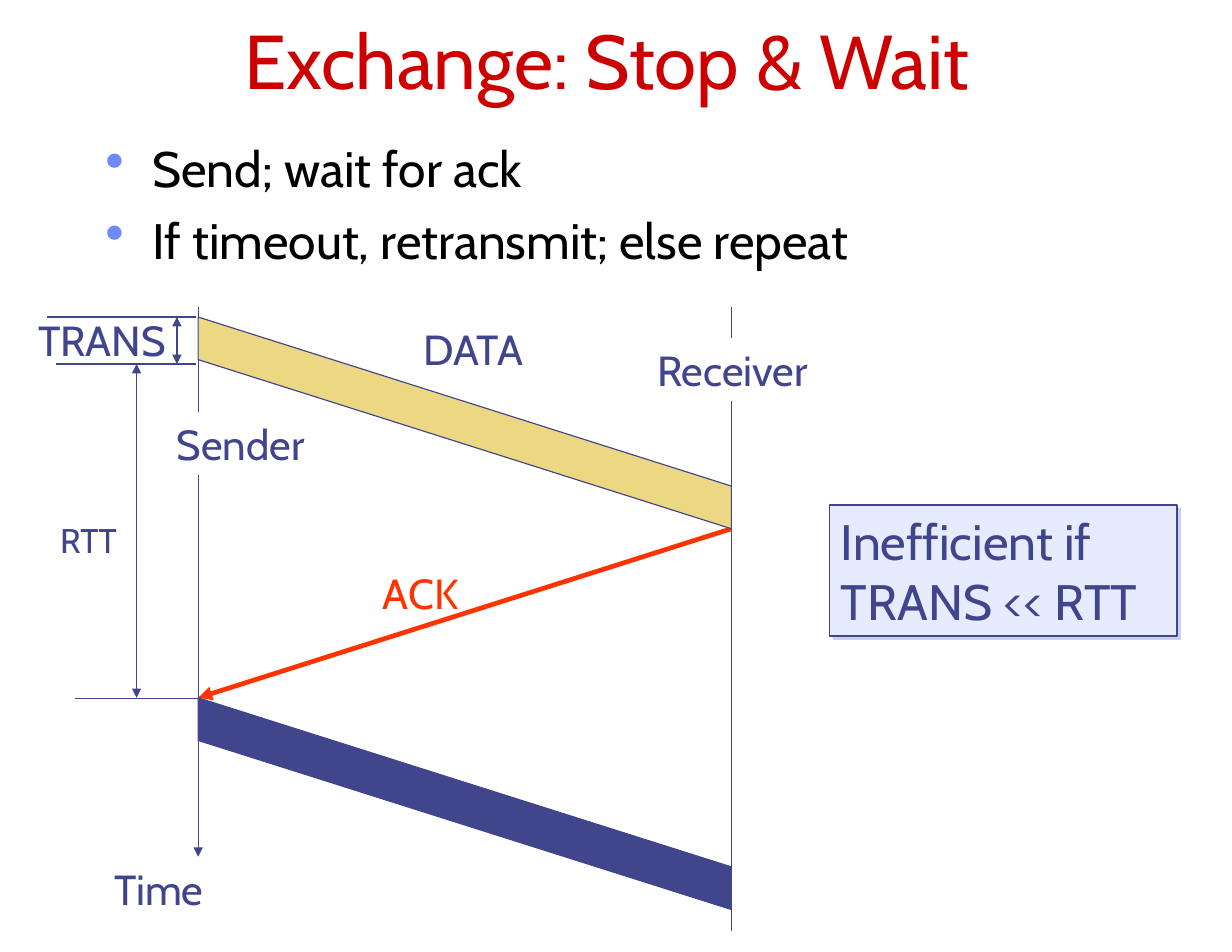
"""Build the stop-and-wait exchange slide with its timing diagram."""
from lxml import etree
from pptx import Presentation
from pptx.dml.color import RGBColor
from pptx.enum import shapes, text
from pptx.oxml import parse_xml
from pptx.oxml.ns import nsdecls, qn
from pptx.util import Pt

RED = RGBColor(0xCC, 0x00, 0x00)
ORANGE = RGBColor(0xFF, 0x33, 0x00)
INDIGO = RGBColor(0x40, 0x45, 0x8C)
SAND = RGBColor(0xEC, 0xD8, 0x82)
PALE_BLUE = RGBColor(0xE6, 0xEC, 0xFE)
BULLET_BLUE = RGBColor(0x6F, 0x89, 0xF7)
SHADOW_BLUE = RGBColor(0xB7, 0xC1, 0xEB)
WHITE = RGBColor(0xFF, 0xFF, 0xFF)
BLACK = RGBColor(0, 0, 0)
FONT = "Cabin"

SENDER_X, RECEIVER_X = 127.4, 470.2
SEND_Y, RESEND_Y = 203.8, 448.6
TRANS, DELAY = 27.4, 108.7
SENT_Y = 234
RECEIVED_Y = SEND_Y + DELAY + TRANS

presentation = Presentation()
presentation.slide_width, presentation.slide_height = Pt(792), Pt(612)
slide = presentation.slides.add_slide(presentation.slide_layouts[5])


def write(shape, lines, size, color, wrap=False, inset=(7.9, 4.3)):
    frame = shape.text_frame
    frame.text = "\n".join(lines)
    frame.word_wrap = wrap
    frame.auto_size = text.MSO_AUTO_SIZE.NONE
    frame.vertical_anchor = text.MSO_ANCHOR.TOP
    frame.margin_left = frame.margin_right = Pt(inset[0])
    frame.margin_top = frame.margin_bottom = Pt(inset[1])
    for paragraph in frame.paragraphs:
        paragraph.alignment = text.PP_ALIGN.LEFT
        paragraph.font.name = FONT
        paragraph.font.size = Pt(size)
        paragraph.font.color.rgb = color
    return frame


def add_line(start, end, width=0.75, color=INDIGO, arrows=()):
    connector = slide.shapes.add_connector(
        shapes.MSO_CONNECTOR.STRAIGHT, *(Pt(value) for value in start + end))
    connector.line.color.rgb = color
    connector.line.width = Pt(width)
    outline = connector.line._get_or_add_ln()
    for arrow in arrows:
        etree.SubElement(outline, qn(f"a:{arrow}"), type="triangle")
    etree.SubElement(connector._element.spPr, qn("a:effectLst"))


title = slide.shapes.title
title.left, title.top, title.width, title.height = Pt(59), Pt(8.6), Pt(673), Pt(63.4)
frame = write(title, ["Exchange: Stop & Wait "], 49, RED, wrap=True)
frame.vertical_anchor = text.MSO_ANCHOR.BOTTOM
frame.paragraphs[0].alignment = text.PP_ALIGN.CENTER

add_line((SENDER_X, 197.3), (SENDER_X, 550.8), arrows=["tailEnd"])
add_line((RECEIVER_X, 197.3), (RECEIVER_X, 598.3))
add_line((RECEIVER_X, RECEIVED_Y), (SENDER_X, RESEND_Y), 3, ORANGE, ["tailEnd"])

for top, fill in [(SEND_Y, SAND), (RESEND_Y, INDIGO)]:
    builder = slide.shapes.build_freeform(Pt(SENDER_X), Pt(top))
    builder.add_line_segments([
        (Pt(RECEIVER_X), Pt(top + DELAY)),
        (Pt(RECEIVER_X), Pt(top + DELAY + TRANS)),
        (Pt(SENDER_X), Pt(top + TRANS)),
    ], close=True)
    band = builder.convert_to_shape()
    band.shadow.inherit = False
    band.fill.solid()
    band.fill.fore_color.rgb = fill
    band.line.color.rgb = INDIGO
    band.line.width = Pt(0.75)

for label, left, top, width, height, size, color, opaque in [
    ("ACK", 238.3, 360.7, 67, 40.3, 27, ORANGE, False),
    ("DATA", 264.2, 203.8, 85.7, 40.3, 27, INDIGO, False),
    ("Time", 65.5, 550.8, 78.5, 40.3, 27, INDIGO, False),
    ("Sender", 105.8, 265, 105.8, 40.3, 27, INDIGO, True),
    ("Receiver", 414.7, 217.4, 123.1, 40.3, 27, INDIGO, True),
    ("RTT", 30.8, 329.8, 54, 34.6, 22, INDIGO, True),
    ("TRANS", 16.6, 198, 100.8, 40.3, 27, INDIGO, False),
]:
    box = slide.shapes.add_textbox(Pt(left), Pt(top), Pt(width), Pt(height))
    write(box, [label], size, color)
    if opaque:
        box.fill.solid()
        box.fill.fore_color.rgb = WHITE

add_line((SENDER_X, RESEND_Y), (48.2, RESEND_Y), 0.25)
add_line((87.8, SENT_Y), (87.8, RESEND_Y), 0.25, arrows=["headEnd", "tailEnd"])
add_line((126, SENT_Y), (36, SENT_Y))
add_line((126, SEND_Y), (30.2, SEND_Y))
add_line((113.8, SEND_Y), (113.8, SENT_Y), arrows=["headEnd", "tailEnd"])

body = slide.shapes.add_textbox(Pt(59.8), Pt(84.2), Pt(685.4), Pt(102.2))
frame = write(body, ["Send; wait for ack", "If timeout, retransmit; else repeat"],
              32, BLACK, wrap=True)
for paragraph in frame.paragraphs:
    properties = paragraph._p.get_or_add_pPr()
    properties.set("marL", str(Pt(30.2)))
    properties.set("indent", str(-Pt(30.2)))
    bullet_color = parse_xml(
        f'<a:buClr {nsdecls("a")}><a:srgbClr val="{BULLET_BLUE}"/></a:buClr>')
    bullet_size = parse_xml(f'<a:buSzPct {nsdecls("a")} val="110000"/>')
    bullet = parse_xml(f'<a:buChar {nsdecls("a")} char="•"/>')
    for position, element in enumerate([bullet_color, bullet_size, bullet]):
        properties.insert(position, element)
frame.paragraphs[1].space_before = Pt(8)

note = slide.shapes.add_shape(
    shapes.MSO_SHAPE.RECTANGLE, Pt(533.5), Pt(324.7), Pt(223.2), Pt(84.2))
note.fill.solid()
note.fill.fore_color.rgb = PALE_BLUE
note.line.color.rgb = INDIGO
note.line.width = Pt(0.75)
note.shadow.inherit = False
note._element.spPr.find(qn("a:effectLst")).append(parse_xml(
    f'<a:outerShdw {nsdecls("a")} blurRad="0" dist="{Pt(3)}" dir="2700000" algn="ctr">'
    f'<a:srgbClr val="{SHADOW_BLUE}"><a:alpha val="75000"/></a:srgbClr></a:outerShdw>'))
write(note, ["Inefficient if", "TRANS << RTT"], 32, INDIGO, inset=(7.2, 3.6))

presentation.save("out.pptx")
